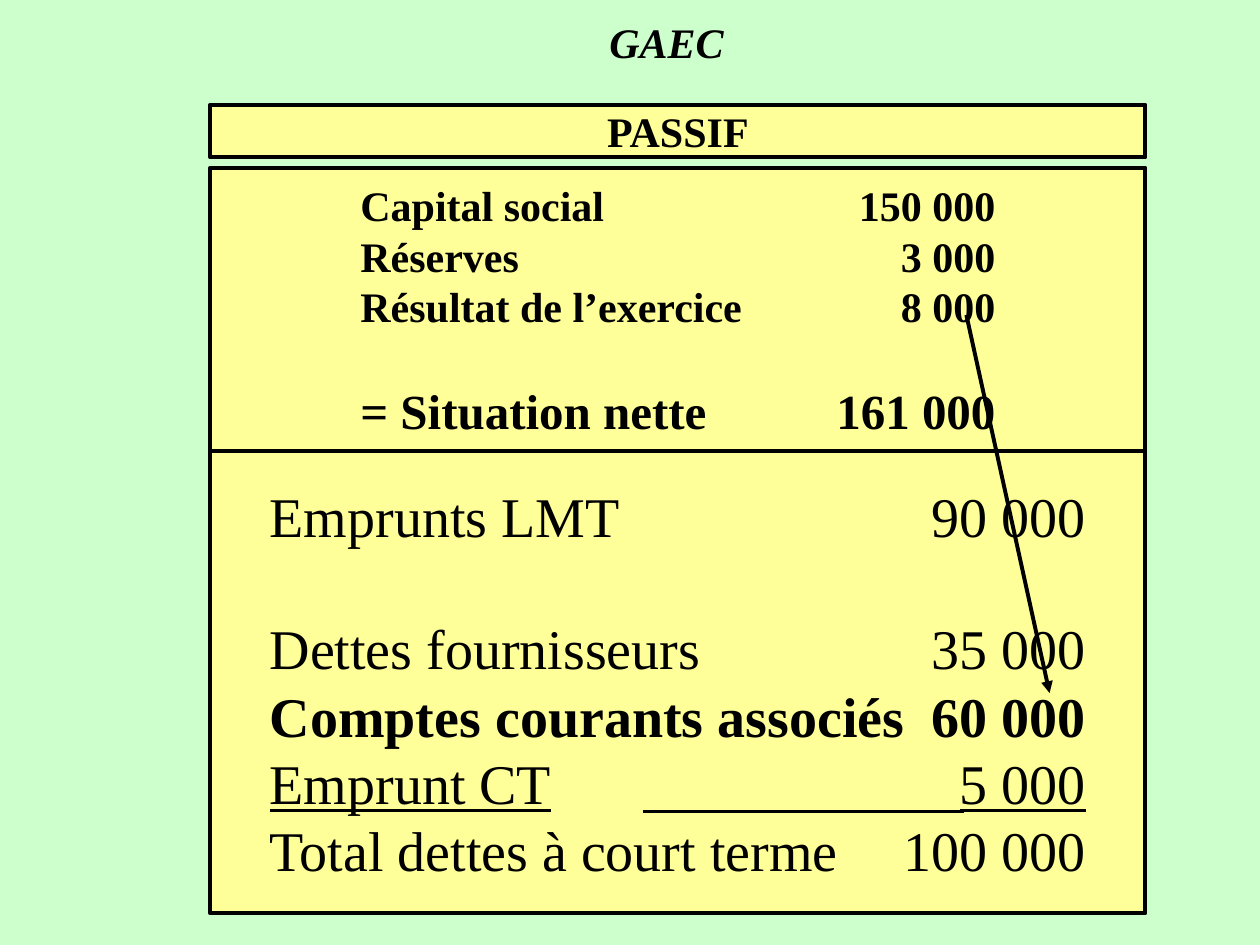
from dataclasses import dataclass
from lxml import etree
from pptx import Presentation
from pptx import util as u
from pptx.dml.color import RGBColor
from pptx.enum import shapes, text
from pptx.oxml import ns


@dataclass
class Theme:
    back: str = "CCFFCC"
    panel: str = "FFFF99"
    ink: str = "000000"
    face: str = "Times New Roman"
    small: int = 24
    mid: int = 28
    large: int = 32
    edge: float = 2.25
    rule: float = 1.75


class Sheet:
    def __init__(self, slide, theme):
        self.slide, self.theme = slide, theme
        fill = slide.background.fill
        fill.solid()
        fill.fore_color.rgb = RGBColor.from_string(theme.back)

    def frame(self, shape, inset=0.1):
        form = {
            "word_wrap": True,
            "vertical_anchor": text.MSO_ANCHOR.MIDDLE,
            "margin_left": u.Inches(inset),
            "margin_right": u.Inches(0.1),
            "margin_top": u.Inches(0.05),
            "margin_bottom": u.Inches(0.05),
        }
        for key, value in form.items():
            setattr(shape.text_frame, key, value)
        return shape.text_frame

    def style(self, para, size, **form):
        form = {"name": self.theme.face, "size": u.Pt(size), **form}
        for key, value in form.items():
            setattr(para.font, key, value)
        para.font.color.rgb = RGBColor.from_string(self.theme.ink)

    def box(self, left, top, width, height):
        shape = self.slide.shapes.add_shape(
            shapes.MSO_SHAPE.RECTANGLE, *map(u.Inches, (left, top, width, height)))
        shape.shadow.inherit = False
        shape.fill.solid()
        shape.fill.fore_color.rgb = RGBColor.from_string(self.theme.panel)
        shape.line.color.rgb = RGBColor.from_string(self.theme.ink)
        shape.line.width = u.Pt(self.theme.edge)
        return shape

    def head(self, shape, words, **form):
        para = self.frame(shape).paragraphs[0]
        para.text = words
        para.alignment = text.PP_ALIGN.CENTER
        self.style(para, self.theme.small, **form)

    def title(self, words, left, top, width, height):
        shape = self.slide.shapes.add_textbox(
            *map(u.Inches, (left, top, width, height)))
        self.head(shape, words, bold=True, italic=True)

    def ledger(self, shape, inset, rows):
        frame = self.frame(shape, inset)
        stop = shape.width - 2 * u.Inches(inset)
        for num, (label, sum_, size, gap, form) in enumerate(rows):
            para = frame.add_paragraph() if num else frame.paragraphs[0]
            para.text = f"{label}\t{sum_}"
            para.alignment = text.PP_ALIGN.LEFT
            if gap:
                para.space_before = u.Pt(gap)
            tabs = etree.SubElement(para._p.get_or_add_pPr(), ns.qn("a:tabLst"))
            etree.SubElement(tabs, ns.qn("a:tab"), pos=str(stop), algn="r")
            self.style(para, size, **form)

    def line(self, start, end, width, arrow=False):
        line = self.slide.shapes.add_connector(
            shapes.MSO_CONNECTOR.STRAIGHT, *map(u.Inches, (*start, *end)))
        line.line.color.rgb = RGBColor.from_string(self.theme.ink)
        line.line.width = u.Pt(width)
        if arrow:
            etree.SubElement(line.line._get_or_add_ln(), ns.qn("a:tailEnd"), type="triangle")
        etree.SubElement(line._element.spPr, ns.qn("a:effectLst"))


def main():
    deck = Presentation()
    deck.slide_width, deck.slide_height = u.Inches(10), u.Inches(7.5)
    theme = Theme()
    sheet = Sheet(deck.slides.add_slide(deck.slide_layouts[6]), theme)
    left, width = 1.67, 7.42
    bold, plain = {"bold": True}, {}
    small, large = theme.small, theme.large

    sheet.head(sheet.box(left, 0.83, width, 0.42), "PASSIF", **bold)
    sheet.ledger(sheet.box(left, 1.33, width, 2.25), 1.19, [
        ("Capital social", "150 000", small, 0, bold),
        ("Réserves", "3 000", small, 0, bold),
        ("Résultat de l’exercice", "8 000", small, 0, bold),
        ("= Situation nette", "161 000", theme.mid, 28, bold),
    ])
    sheet.ledger(sheet.box(left, 3.58, width, 3.67), 0.47, [
        ("Emprunts LMT", "90 000", large, 0, plain),
        ("Dettes fournisseurs", "35 000", large, 37, plain),
        ("Comptes courants associés", "60 000", large, 0, bold),
        ("Emprunt CT", "5 000", large, 0, {"underline": True}),
        ("Total dettes à court terme", "100 000", large, 0, plain),
    ])
    sheet.title("GAEC", 1.5, 0, 7.58, 0.67)
    sheet.line((5.1, 6.44), (7.65, 6.44), theme.rule)
    sheet.line((7.67, 2.5), (8.33, 5.5), theme.edge, arrow=True)
    deck.save("out.pptx")


if __name__ == "__main__":
    main()
